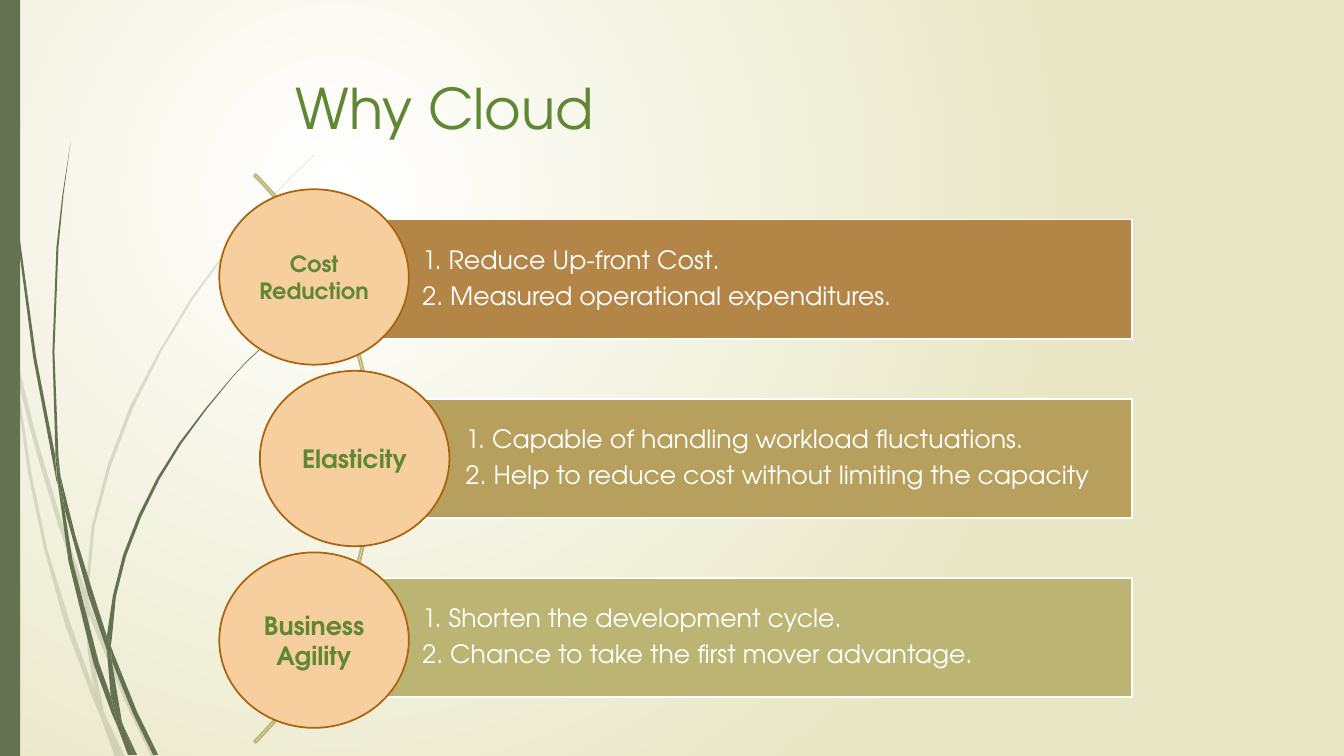
import pptx
import pptx.util
import pptx.dml.color
import pptx.enum.shapes
import pptx.enum.text
import pptx.oxml
import pptx.oxml.ns

Pt = pptx.util.Pt
KIND = pptx.enum.shapes.MSO_SHAPE
ALIGN = pptx.enum.text.PP_ALIGN
ANCHOR = pptx.enum.text.MSO_ANCHOR
FONT = "TeX Gyre Adventor"
GREEN = "5F8734"
GRASS = "647252"


def rgb(text):
    return pptx.dml.color.RGBColor.from_string(text)


def paint(shape, fill, line=None):
    """Set fill and outline; None leaves that part empty."""
    shape.shadow.inherit = False
    if fill:
        shape.fill.solid()
        shape.fill.fore_color.rgb = rgb(fill)
    else:
        shape.fill.background()
    if line:
        shape.line.color.rgb = rgb(line)
        shape.line.width = Pt(1.25)
    else:
        shape.line.fill.background()


deck = pptx.Presentation()
deck.slide_width, deck.slide_height = Pt(960), Pt(540)
slide = deck.slides.add_slide(deck.slide_layouts[6])
shapes = slide.shapes

# Background: radial glow
glow = slide.background.fill
glow.gradient()
for stop, tone in zip(glow.gradient_stops, ("FFFFFF", "E8E6C4")):
    stop.color.rgb = rgb(tone)
grad = slide.background._cSld.find(".//" + pptx.oxml.ns.qn("a:gradFill"))
grad.replace(grad.find(pptx.oxml.ns.qn("a:lin")), pptx.oxml.parse_xml(
    f'<a:path {pptx.oxml.ns.nsdecls("a")} path="circle"><a:fillToRect '
    'l="50000" t="50000" r="100000" b="100000"/></a:path>'))

# Grass: outlines of the pieces of each tuft, in units of 0.72 pt
UNIT = Pt(0.72)
pale = [
    [(11, 350), (9, 322), (0, 282), (0, 299), (10, 344)],
    [(58, 522), (84, 599), (85, 586), (62, 520), (36, 433), (14, 345),
     (17, 376), (36, 449)],
    [(92, 607), (88, 596), (88, 610), (123, 694), (150, 751), (155, 751),
     (127, 692)],
    [(119, 751), (124, 751), (105, 711)],
    [(93, 683), (70, 619), (47, 545), (31, 469), (17, 376), (11, 350),
     (28, 470), (44, 546), (65, 621), (92, 693), (101, 714), (99, 707)],
    [(84, 599), (87, 646), (93, 683), (96, 692), (105, 711), (103, 706),
     (91, 646), (88, 610), (88, 608)],
    [(88, 584), (94, 522), (110, 462), (132, 405), (160, 349), (192, 296),
     (229, 245), (268, 198), (290, 175), (312, 154), (312, 153), (289, 175),
     (268, 197), (228, 244), (190, 295), (158, 348), (129, 403), (107, 461),
     (91, 522), (85, 584), (85, 586), (88, 596)],
    [(101, 714), (114, 751), (119, 751)],
    [(88, 608), (88, 610), (88, 596), (85, 586), (84, 599)],
    [(96, 692), (93, 683), (99, 707), (101, 714), (119, 751), (105, 711)],
]
dark = [
    [(7, 110), (17, 233), (33, 355), (56, 477), (57, 481), (55, 457),
     (55, 453), (36, 355), (19, 232), (8, 109), (5, 48), (4, 0), (3, 0),
     (4, 48)],
    [(88, 592), (106, 645), (106, 633), (106, 631), (93, 590), (75, 532),
     (60, 472), (64, 505)],
    [(113, 649), (110, 641), (111, 656), (132, 708), (152, 749), (157, 749),
     (136, 706)],
    [(110, 691), (98, 657), (72, 556), (64, 505), (57, 477), (68, 557),
     (93, 659), (111, 708), (117, 722), (116, 717)],
    [(60, 472), (58, 453), (54, 349), (58, 245), (63, 193), (70, 141),
     (62, 193), (56, 245), (52, 349), (55, 449)],
    [(133, 749), (136, 749), (122, 719)],
    [(57, 477), (64, 505), (60, 472), (55, 449), (55, 453)],
    [(111, 633), (115, 592), (125, 552), (140, 513), (158, 476), (180, 440),
     (205, 406), (231, 374), (245, 359), (261, 344), (260, 344), (245, 358),
     (231, 373), (204, 405), (178, 439), (156, 474), (137, 512), (122, 551),
     (112, 591), (106, 631), (110, 641)],
    [(117, 722), (127, 749), (131, 749)],
    [(106, 645), (110, 691), (116, 706), (122, 719), (121, 716), (111, 656),
     (109, 651)],
    [(106, 645), (109, 651), (111, 656), (110, 641), (106, 631), (106, 633)],
    [(116, 706), (110, 691), (116, 717), (117, 722), (130, 749), (133, 749),
     (122, 719)],
]
for tuft, alpha in ((pale, 20), (dark, 100)):
    for edge in tuft:
        form = shapes.build_freeform(*edge[0], scale=UNIT)
        form.add_line_segments(edge[1:])
        blade = form.convert_to_shape()
        paint(blade, GRASS)
        if alpha < 100:
            tint = blade._element.spPr.find(".//" + pptx.oxml.ns.qn("a:srgbClr"))
            tint.append(pptx.oxml.parse_xml(
                f'<a:alpha {pptx.oxml.ns.nsdecls("a")} val="{alpha * 1000}"/>'))

stripe = shapes.add_shape(KIND.RECTANGLE, 0, 0, Pt(14.4), Pt(540))
paint(stripe, GRASS)

# Title
title = shapes.add_textbox(Pt(204.2), Pt(49), Pt(702), Pt(100.8)).text_frame
title.word_wrap = True
run = title.paragraphs[0].add_run()
run.text = "Why Cloud"
run.font.name, run.font.size = FONT, Pt(40)
run.font.color.rgb = rgb(GREEN)

# Arc behind the reasons
arc = shapes.add_shape(KIND.BLOCK_ARC, Pt(-307.8), Pt(40.2), Pt(574.6), Pt(574.6))
for spot, value in enumerate((189, 27, 0.003)):
    arc.adjustments[spot] = value
paint(arc, None, "BBB473")

# Reasons: label, label size, circle left, bar left, bar colour, lines
reasons = [
    ("Cost Reduction", 16, 156.6, 234, "B38648",
     ["1. Reduce Up-front Cost.", "2. Measured operational expenditures."]),
    ("Elasticity", 18, 185.6, 265, "B7A05D",
     ["1. Capable of handling workload fluctuations.",
      "2. Help to reduce cost without limiting the capacity"]),
    ("Business Agility", 18, 156.6, 234, "BBB473",
     ["1. Shorten the development cycle.",
      "2. Chance to take the first mover advantage."]),
]
RIGHT = 808.8
for row, (label, size, left, start, tone, lines) in enumerate(reasons):
    bar = shapes.add_shape(KIND.RECTANGLE, Pt(start), Pt(156.8 + 128 * row),
                           Pt(RIGHT - start), Pt(85.3))
    paint(bar, tone, "FFFFFF")
    frame = bar.text_frame
    frame.word_wrap = True
    frame.vertical_anchor = ANCHOR.MIDDLE
    frame.margin_left = Pt(67.7)
    frame.margin_top = frame.margin_right = frame.margin_bottom = Pt(3.6)
    for spot, line in enumerate(lines):
        para = frame.add_paragraph() if spot else frame.paragraphs[0]
        para.alignment = ALIGN.LEFT
        para.line_spacing = 0.9
        para.space_after = Pt(6.3)
        run = para.add_run()
        run.text = line
        run.font.name, run.font.size = FONT, Pt(18)
        run.font.color.rgb = rgb("FFFFFF")

    disc = shapes.add_shape(KIND.OVAL, Pt(left), Pt(135.2 + 129.7 * row),
                            Pt(135.4), Pt(125.3))
    paint(disc, "F7CF9E", "AB640D")
    frame = disc.text_frame
    frame.word_wrap = True
    frame.vertical_anchor = ANCHOR.MIDDLE
    para = frame.paragraphs[0]
    para.alignment = ALIGN.CENTER
    run = para.add_run()
    run.text = label
    run.font.name, run.font.size, run.font.bold = FONT, Pt(size), True
    run.font.color.rgb = rgb(GREEN)

deck.save("out.pptx")
